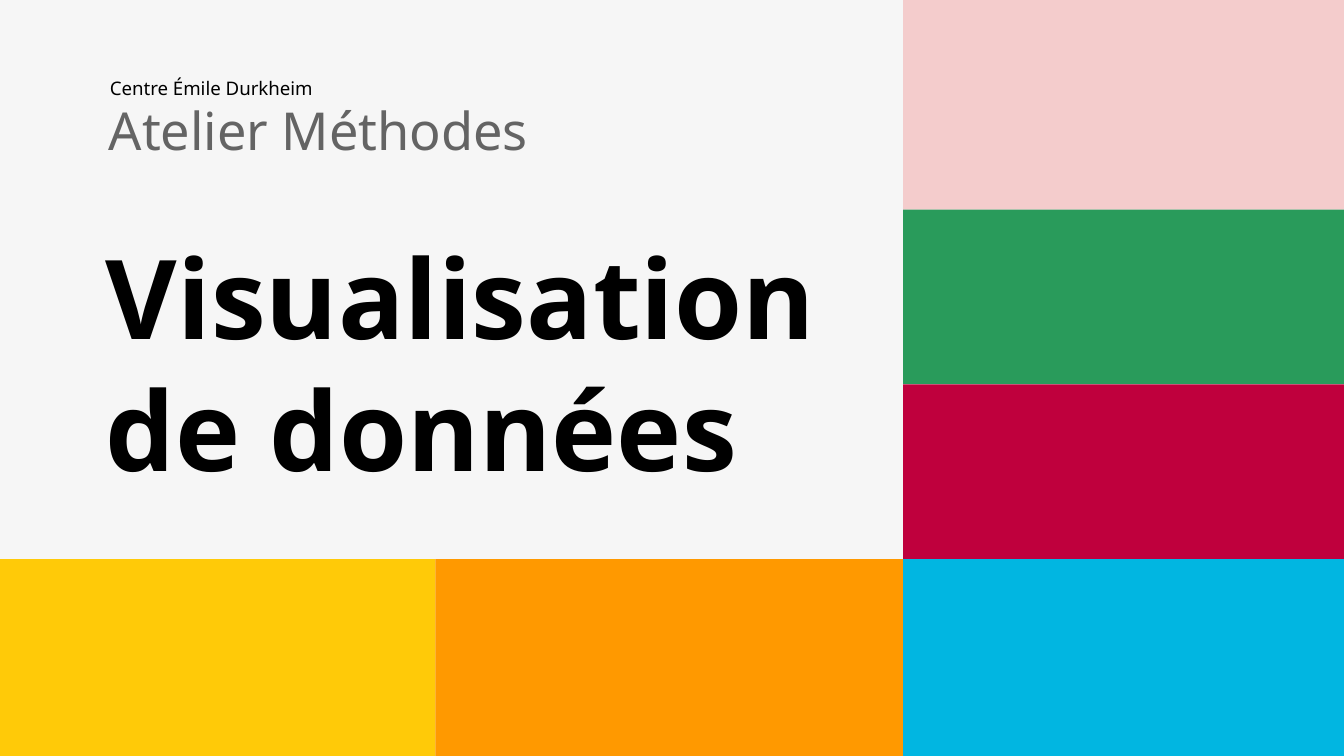
from typing import NamedTuple

from pptx import Presentation
from pptx.dml.color import RGBColor
from pptx.enum.shapes import MSO_SHAPE
from pptx.enum.text import MSO_ANCHOR
from pptx.slide import Slide
from pptx.util import Inches, Pt

COLOURS = {
    "background": "F6F6F6",
    "black": "000000",
    "grey": "646464",
    "pink": "F4CCCC",
    "green": "299B5B",
    "crimson": "BF003D",
    "yellow": "FFCA08",
    "orange": "FF9900",
    "blue": "01B6E1",
}
FONT = "Noto Sans"
WIDTH = 10
HEIGHT = WIDTH * 9 / 16
COLUMN_EDGES = (0, 3.24, 6.72, WIDTH)
ROW_EDGES = (0, 1.56, 2.86, 4.16, HEIGHT)


class Tile(NamedTuple):
    """A coloured cell of the grid, by column and row."""

    column: int
    row: int
    colour: str


class Box(NamedTuple):
    """Left, top, width and height in inches."""

    left: float
    top: float
    width: float
    height: float


TILES = (
    Tile(2, 0, "pink"),
    Tile(2, 1, "green"),
    Tile(2, 2, "crimson"),
    Tile(0, 3, "yellow"),
    Tile(1, 3, "orange"),
    Tile(2, 3, "blue"),
)


def add_tile(slide: Slide, tile: Tile) -> None:
    """Fill one grid cell with a plain rectangle."""
    left, right = COLUMN_EDGES[tile.column:tile.column + 2]
    top, bottom = ROW_EDGES[tile.row:tile.row + 2]
    shape = slide.shapes.add_shape(
        MSO_SHAPE.RECTANGLE,
        Inches(left), Inches(top), Inches(right - left), Inches(bottom - top),
    )
    shape.shadow.inherit = False
    shape.fill.solid()
    shape.fill.fore_color.rgb = RGBColor.from_string(COLOURS[tile.colour])
    shape.line.fill.background()


def add_text(
    slide: Slide,
    text: str,
    box: Box,
    *,
    size: float,
    colour: str = "black",
    bold: bool = False,
    inset: float = 0.1,
    anchor: MSO_ANCHOR = MSO_ANCHOR.TOP,
    line_spacing: float = 1.0,
) -> None:
    """Add a wrapped text box with one formatted paragraph."""
    shape = slide.shapes.add_textbox(*(Inches(length) for length in box))
    frame = shape.text_frame
    frame.word_wrap = True
    frame.vertical_anchor = anchor
    frame.margin_left = frame.margin_right = Inches(inset)
    frame.margin_top = frame.margin_bottom = Inches(inset)
    paragraph = frame.paragraphs[0]
    paragraph.line_spacing = line_spacing
    run = paragraph.add_run()
    run.text = text
    run.font.name = FONT
    run.font.size = Pt(size)
    run.font.bold = bold
    run.font.color.rgb = RGBColor.from_string(COLOURS[colour])


def main() -> None:
    """Build the cover slide and save it."""
    presentation = Presentation()
    presentation.slide_width = Inches(WIDTH)
    presentation.slide_height = Inches(HEIGHT)
    slide = presentation.slides.add_slide(presentation.slide_layouts[6])
    slide.background.fill.solid()
    slide.background.fill.fore_color.rgb = RGBColor.from_string(COLOURS["background"])

    for tile in TILES:
        add_tile(slide, tile)

    add_text(slide, "Atelier Méthodes", Box(0.81, 0, 3.86, 1.19), size=28,
             colour="grey", inset=0, anchor=MSO_ANCHOR.BOTTOM, line_spacing=0.75)
    add_text(slide, "Visualisation de données", Box(0.69, 1.61, 5.54, 2.13),
             size=59, bold=True)
    add_text(slide, "Centre Émile Durkheim", Box(0.72, 0.49, 4.53, 0.37), size=10)

    presentation.save("out.pptx")


if __name__ == "__main__":
    main()
